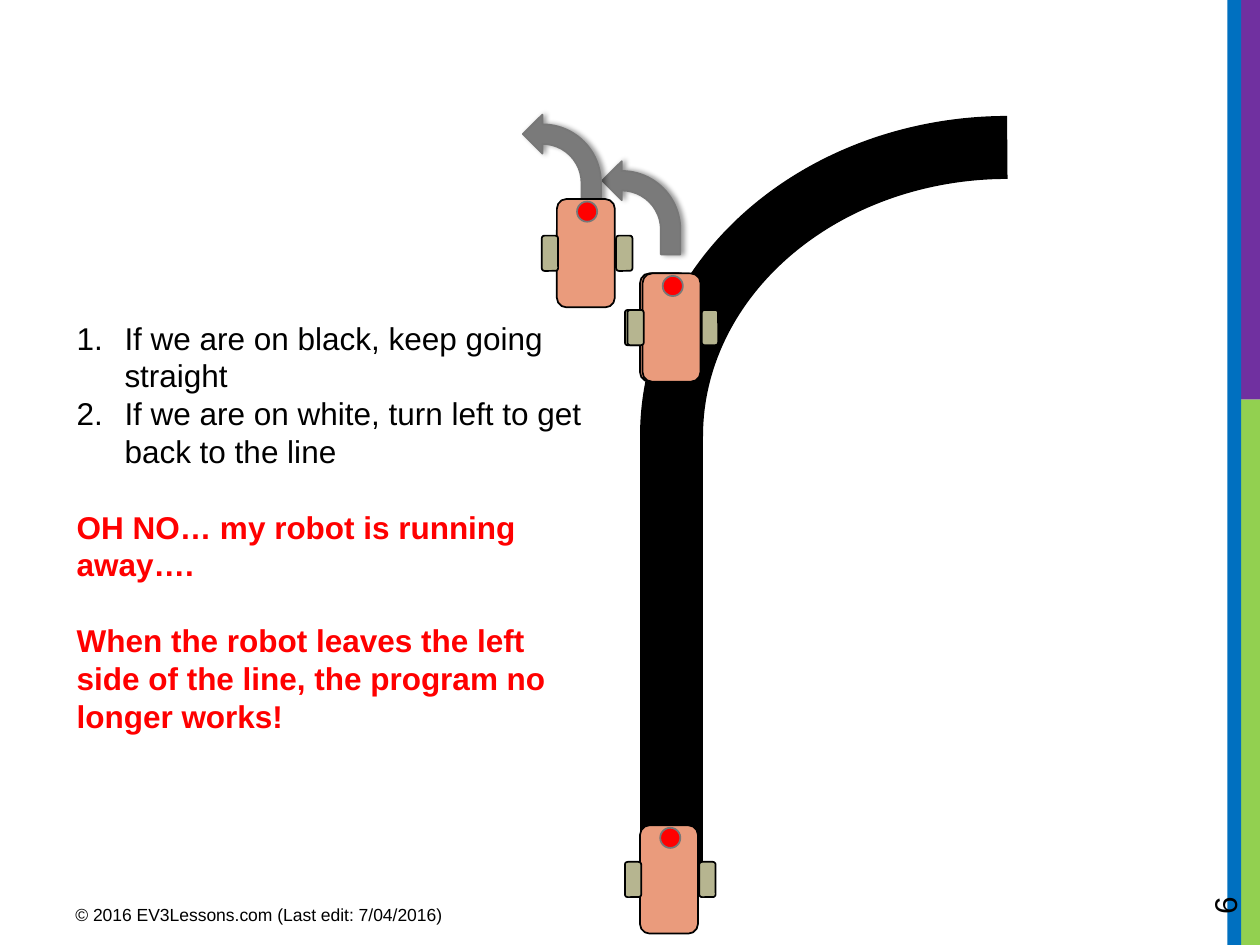
from dataclasses import dataclass

from lxml.etree import SubElement
from pptx import Presentation
from pptx.dml.color import RGBColor
from pptx.enum.shapes import MSO_CONNECTOR, MSO_SHAPE as Preset
from pptx.enum.text import MSO_ANCHOR as Anchor
from pptx.oxml.ns import qn
from pptx.slide import Slide
from pptx.util import Inches, Pt

COLORS = {
    "black": "000000", "red": "FF0000", "grey": "7A7A7A", "edge": "777777",
    "body": "EA9B7C", "wheel": "B6B590",
    "blue": "0070C0", "green": "92D050", "purple": "7030A0",
}


def rgb(name):
    return RGBColor.from_string(COLORS[name])


@dataclass
class RobotSlide:
    """Draws the elements of a line-following slide in one style."""

    slide: Slide
    font: str = "Arial"
    track_width: float = 36

    def shape(self, preset, box, fill=None, line=None, width=1, shapes=None, flip=False):
        shape = (shapes or self.slide.shapes).add_shape(preset, *map(Inches, box))
        shape.shadow.inherit = False
        if fill:
            shape.fill.solid()
            shape.fill.fore_color.rgb = rgb(fill)
        else:
            shape.fill.background()
        if line:
            shape.line.color.rgb = rgb(line)
            shape.line.width = Pt(width)
        else:
            shape.line.fill.background()
        if flip:
            shape._element.spPr.xfrm.set("flipH", "1")
        return shape

    def track(self, start, end, arc_box):
        line = self.slide.shapes.add_connector(
            MSO_CONNECTOR.STRAIGHT, *map(Inches, start + end))
        line.line.color.rgb = rgb("black")
        line.line.width = Pt(self.track_width)
        SubElement(line._element.spPr, qn("a:effectLst"))
        self.shape(Preset.ARC, arc_box, line="black", width=self.track_width, flip=True)

    def robot(self, x, y, rotation=0):
        group = self.slide.shapes.add_group_shape()
        parts = [
            (Preset.ROUNDED_RECTANGLE, -0.01, 0, 0.46, 0.86, "body", "black"),
            (Preset.ROUNDED_RECTANGLE, 0.295, 0, 0.13, 0.28, "wheel", "black"),
            (Preset.ROUNDED_RECTANGLE, -0.295, 0, 0.13, 0.28, "wheel", "black"),
            (Preset.OVAL, 0, -0.33, 0.16, 0.16, "red", "edge"),
        ]
        for preset, dx, dy, width, height, fill, line in parts:
            box = (x + dx - width / 2, y + dy - height / 2, width, height)
            self.shape(preset, box, fill, line, shapes=group.shapes)
        group.rotation = rotation

    def turn_arrow(self, left, top):
        arrow = self.shape(Preset.BENT_ARROW, (left, top, 0.62, 0.74),
                           "grey", "edge", flip=True)
        for index, value in enumerate((0.25, 0.25, 0.25, 0.75)):
            arrow.adjustments[index] = value
        effects = arrow._element.spPr.find(qn("a:effectLst"))
        shadow = SubElement(effects, qn("a:outerShdw"), blurRad=str(Pt(3.1)),
                            dist=str(Pt(1.8)), dir="0", rotWithShape="0")
        color = SubElement(shadow, qn("a:srgbClr"), val=COLORS["black"])
        SubElement(color, qn("a:alpha"), val="40000")

    def text(self, box, paragraphs, size=18, anchor=Anchor.TOP, rotation=0):
        shape = self.slide.shapes.add_textbox(*map(Inches, box))
        shape.rotation = rotation
        frame = shape.text_frame
        frame.word_wrap = True
        frame.vertical_anchor = anchor
        for index, (content, style) in enumerate(paragraphs):
            paragraph = frame.add_paragraph() if index else frame.paragraphs[0]
            paragraph.text = content
            if style == "number":
                properties = paragraph._p.get_or_add_pPr()
                properties.set("marL", str(Inches(0.38)))
                properties.set("indent", str(Inches(-0.38)))
                SubElement(properties, qn("a:buFont"), typeface=self.font)
                SubElement(properties, qn("a:buAutoNum"), type="arabicPeriod")
            warning = style == "warning"
            if warning:
                paragraph.space_before = Pt(21.6)
            font = paragraph.font
            font.name, font.size, font.bold = self.font, Pt(size), warning
            font.color.rgb = rgb("red" if warning else "black")


def main():
    presentation = Presentation()
    presentation.slide_width, presentation.slide_height = Inches(10), Inches(7.5)
    page = RobotSlide(presentation.slides.add_slide(presentation.slide_layouts[6]))

    for fill, box in [
        ("green", (9.84, 3.17, 0.16, 4.33)),
        ("purple", (9.8, 0, 0.2, 3.17)),
        ("blue", (9.74, 0, 0.11, 7.5)),
    ]:
        page.shape(Preset.RECTANGLE, box, fill)

    page.track((5.33, 6.96), (5.33, 3.44), (5.33, 1.17, 5.33, 4.58))
    page.robot(5.32, 6.98)
    page.robot(5.32, 2.6)
    page.turn_arrow(4.78, 1.28)
    page.robot(5.34, 2.6, 330)
    page.turn_arrow(4.15, 0.91)
    page.robot(4.66, 2.01, 285)

    page.text((0.51, 2.48, 4.22, 3.43), [
        ("If we are on black, keep going straight", "number"),
        ("If we are on white, turn left to get back to the line", "number"),
        ("OH NO… my robot is running away….", "warning"),
        ("When the robot leaves the left side of the line, "
         "the program no longer works!", "warning"),
    ])
    page.text((0.5, 7.1, 3.75, 0.31),
              [("© 2016 EV3Lessons.com (Last edit: 7/04/2016)", "plain")],
              size=10, anchor=Anchor.MIDDLE)
    page.text((9, 6.44, 1.44, 0.4), [("6", "plain")], rotation=270)

    presentation.save("out.pptx")


if __name__ == "__main__":
    main()
